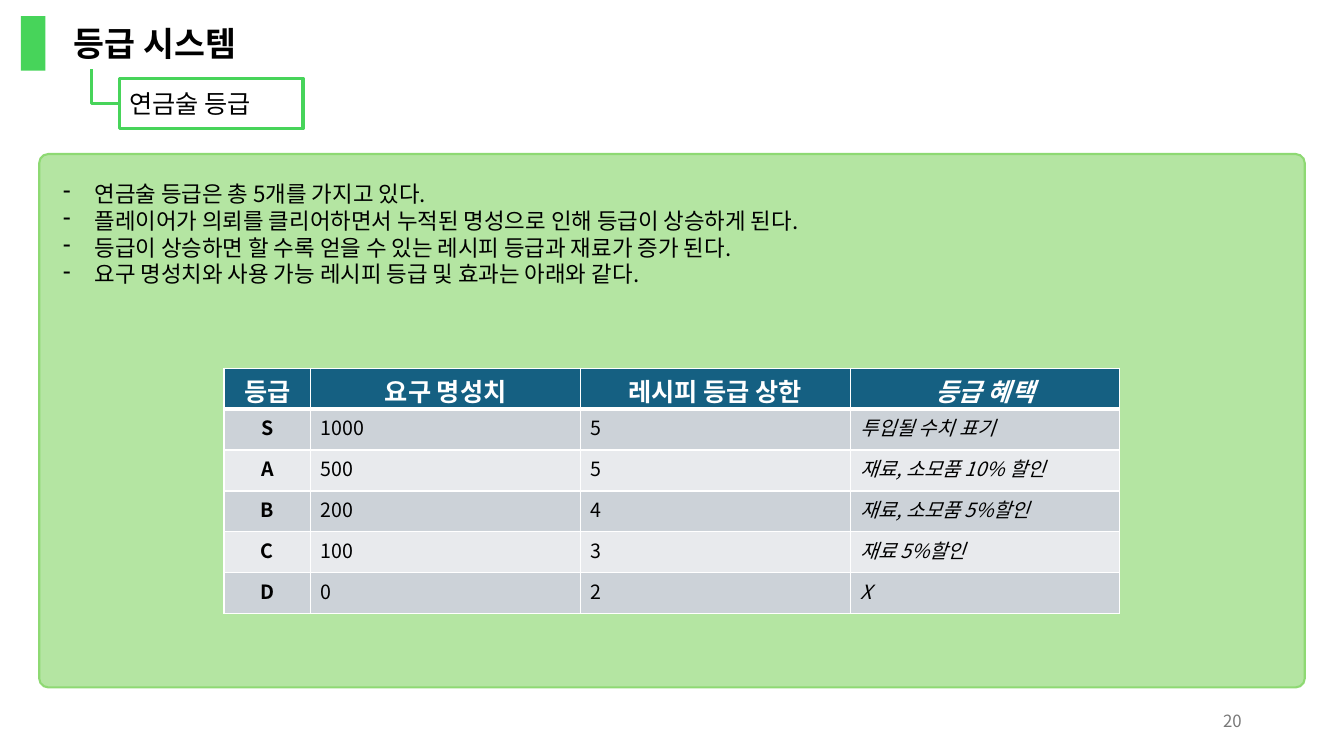
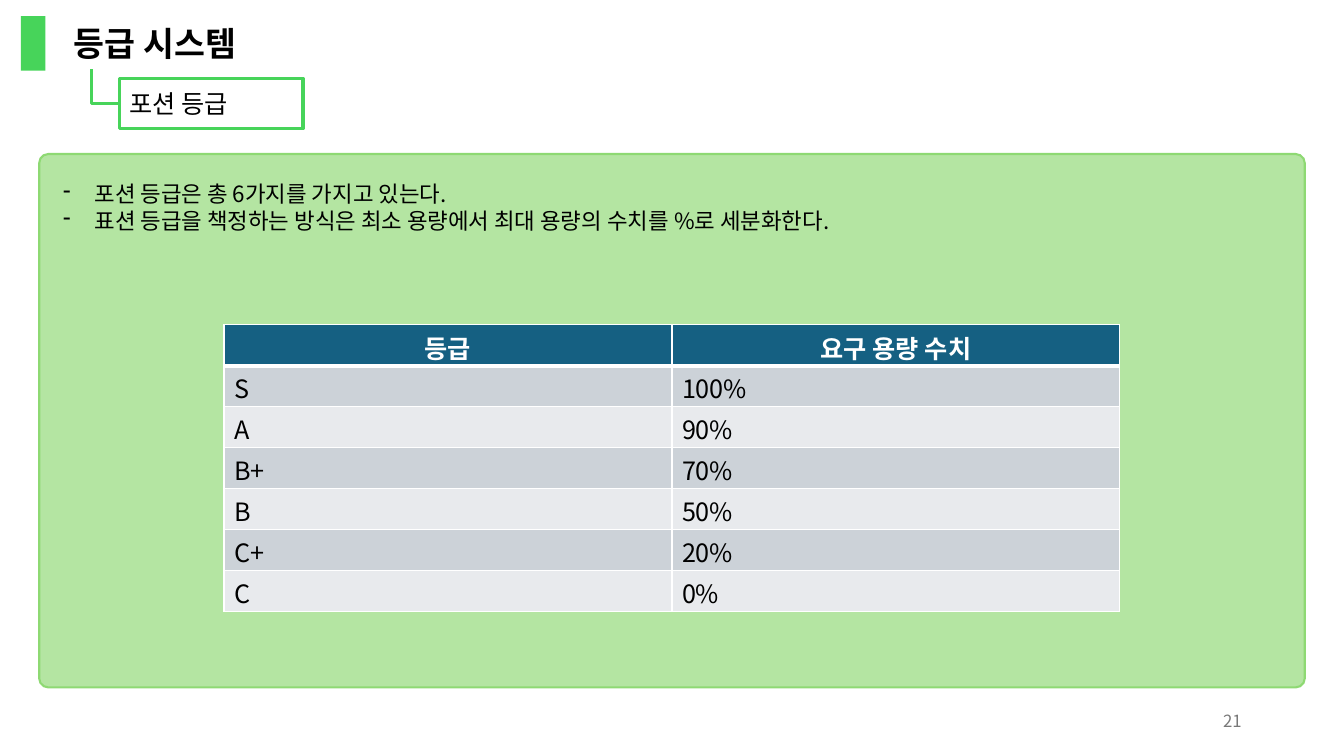
from lxml import etree
from pptx import Presentation
from pptx.dml.color import RGBColor
from pptx.enum import shapes as sh, text as tx
from pptx.oxml import ns
from pptx.util import Pt

FONT = "Noto Sans CJK KR"
BLACK = RGBColor(0x00, 0x00, 0x00)
WHITE = RGBColor(0xFF, 0xFF, 0xFF)
GRAY = RGBColor(0x79, 0x79, 0x79)
ACCENT = RGBColor(0x47, 0xD4, 0x5A)
PANEL_FILL = RGBColor(0xB4, 0xE5, 0xA2)
PANEL_LINE = RGBColor(0x8E, 0xD9, 0x73)
HEAD_FILL = RGBColor(0x15, 0x60, 0x82)
BAND_FILLS = (RGBColor(0xCC, 0xD2, 0xD8), RGBColor(0xE8, 0xEA, 0xED))

LINE_HEIGHT = 1.2
ROW_HEIGHT = 29.25
PANEL_BOX = (28, 110, 904, 381)
TABLE_LEFT, TABLE_WIDTH = 160, 640

SLIDES = [
    dict(
        subtitle="연금술 등급", page="20", table_top=263, body_size=14,
        columns=(62, 192.67, 192.67, 192.66), label_column=0, italic_column=3,
        notes=["연금술 등급은 총 5개를 가지고 있다.",
               "플레이어가 의뢰를 클리어하면서 누적된 명성으로 인해 등급이 상승하게 된다.",
               "등급이 상승하면 할 수록 얻을 수 있는 레시피 등급과 재료가 증가 된다.",
               "요구 명성치와 사용 가능 레시피 등급 및 효과는 아래와 같다."],
        rows=[("등급", "요구 명성치", "레시피 등급 상한", "등급 혜택"),
              ("S", "1000", "5", "투입될 수치 표기"),
              ("A", "500", "5", "재료, 소모품 10% 할인"),
              ("B", "200", "4", "재료, 소모품 5%할인"),
              ("C", "100", "3", "재료 5%할인"),
              ("D", "0", "2", "X")]),
    dict(
        subtitle="포션 등급", page="21", table_top=232, body_size=18,
        columns=(320, 320), label_column=None, italic_column=None,
        notes=["포션 등급은 총 6가지를 가지고 있는다.",
               "표션 등급을 책정하는 방식은 최소 용량에서 최대 용량의 수치를 %로 세분화한다."],
        rows=[("등급", "요구 용량 수치"), ("S", "100%"), ("A", "90%"),
              ("B+", "70%"), ("B", "50%"), ("C+", "20%"), ("C", "0%")]),
]


def write_text(frame, lines, size=18, color=BLACK, bold=False, italic=False,
               align=tx.PP_ALIGN.LEFT, anchor=tx.MSO_ANCHOR.TOP, bullet=None):
    """Fill a text frame with one paragraph for each line."""
    frame.word_wrap = True
    frame.vertical_anchor = anchor
    for index, line in enumerate(lines):
        paragraph = frame.add_paragraph() if index else frame.paragraphs[0]
        paragraph.alignment = align
        paragraph.line_spacing = Pt(size * LINE_HEIGHT)
        run = paragraph.add_run()
        run.text = line
        font = run.font
        font.size, font.bold, font.italic, font.name = Pt(size), bold, italic, FONT
        font.color.rgb = color
        etree.SubElement(run._r.get_or_add_rPr(), ns.qn("a:ea"), typeface=FONT)
        if bullet:
            props = paragraph._p.get_or_add_pPr()
            props.set("marL", str(Pt(22.5)))
            props.set("indent", str(Pt(-22.5)))
            etree.SubElement(props, ns.qn("a:buChar"), char=bullet)


def add_box(slide, kind, box, fill, line=None, line_width=0):
    shape = slide.shapes.add_shape(kind, *map(Pt, box))
    shape.shadow.inherit = False
    shape.fill.solid()
    shape.fill.fore_color.rgb = fill
    if line is None:
        shape.line.fill.background()
    else:
        shape.line.color.rgb = line
        shape.line.width = Pt(line_width)
    return shape


def add_heading(slide, left, top, title, subtitle):
    """Accent bar, title, and the subtitle box that hangs from it."""
    add_box(slide, sh.MSO_SHAPE.RECTANGLE, (left, top, 17.5, 39), ACCENT)

    heading = slide.shapes.title
    heading.left, heading.top = Pt(left + 30.5), Pt(top + 1.5)
    heading.width, heading.height = Pt(300), Pt(36)
    heading.text_frame.auto_size = tx.MSO_AUTO_SIZE.NONE
    write_text(heading.text_frame, [title], size=24, bold=True)

    box_left, box_top, box_height = left + 70.5, top + 44.5, 36
    topic = add_box(slide, sh.MSO_SHAPE.RECTANGLE,
                    (box_left, box_top, 131, box_height), WHITE, ACCENT, 2.25)
    write_text(topic.text_frame, [subtitle], anchor=tx.MSO_ANCHOR.MIDDLE)

    branch = slide.shapes.add_connector(
        sh.MSO_CONNECTOR.ELBOW, Pt(box_left), Pt(box_top + box_height / 2),
        Pt(left + 50.5), Pt(top + 38))
    branch.line.color.rgb = ACCENT
    branch.line.width = Pt(2.25)
    props = branch._element.spPr
    props.find(ns.qn("a:prstGeom")).set("prst", "bentConnector2")
    etree.SubElement(props, ns.qn("a:effectLst"))


def add_notes_panel(slide, box, notes):
    """Rounded panel with dashed notes at its top."""
    left, top, width, _ = box
    panel = add_box(slide, sh.MSO_SHAPE.ROUNDED_RECTANGLE, box,
                    PANEL_FILL, PANEL_LINE, 1.5)
    panel.adjustments[0] = 0.017
    height = len(notes) * 16 * LINE_HEIGHT + 7.2
    notes_box = slide.shapes.add_textbox(
        Pt(left + 10), Pt(top + 15), Pt(width - 20), Pt(height))
    write_text(notes_box.text_frame, notes, size=16, bullet="-")


def add_borders(cell, top, bottom):
    """White cell borders; the side ones are 1 pt wide."""
    props = cell._tc.get_or_add_tcPr()
    for side, width in (("L", 1), ("R", 1), ("T", top), ("B", bottom)):
        border = etree.SubElement(props, ns.qn(f"a:ln{side}"), w=str(Pt(width)))
        fill = etree.SubElement(border, ns.qn("a:solidFill"))
        etree.SubElement(fill, ns.qn("a:srgbClr"), val=str(WHITE))


def add_grade_table(slide, left, top, width, columns, rows, body_size,
                    label_column, italic_column):
    table = slide.shapes.add_table(
        len(rows), len(columns), Pt(left), Pt(top), Pt(width),
        Pt(ROW_HEIGHT * len(rows))).table
    for column, column_width in zip(table.columns, columns):
        column.width = Pt(column_width)
    for r, values in enumerate(rows):
        table.rows[r].height = Pt(ROW_HEIGHT)
        is_head = r == 0
        size = 18 if is_head else body_size
        for c, value in enumerate(values):
            cell = table.cell(r, c)
            add_borders(cell, top=3 if r == 1 else 1, bottom=3 if is_head else 1)
            cell.fill.solid()
            cell.fill.fore_color.rgb = HEAD_FILL if is_head else BAND_FILLS[(r - 1) % 2]
            if size == 18:
                # Large text sits low in its row
                cell.margin_top, cell.margin_bottom = Pt(7), Pt(0)
            strong = is_head or c == label_column
            write_text(cell.text_frame, [value], size=size,
                       color=WHITE if is_head else BLACK, bold=strong,
                       italic=c == italic_column,
                       align=tx.PP_ALIGN.CENTER if strong else tx.PP_ALIGN.LEFT)
            cell.vertical_anchor = tx.MSO_ANCHOR.MIDDLE


def add_page_number(slide, box, number):
    footer = slide.shapes.add_textbox(*map(Pt, box))
    write_text(footer.text_frame, [number], size=12, color=GRAY,
               align=tx.PP_ALIGN.RIGHT, anchor=tx.MSO_ANCHOR.MIDDLE)


def add_grade_slide(prs, subtitle, page, notes, table_top, **table_format):
    slide = prs.slides.add_slide(prs.slide_layouts[5])
    add_heading(slide, 15, 11.5, "등급 시스템", subtitle)
    add_page_number(slide, (678, 500.5, 216, 29), page)
    add_notes_panel(slide, PANEL_BOX, notes)
    add_grade_table(slide, TABLE_LEFT, table_top, TABLE_WIDTH, **table_format)


def main():
    prs = Presentation()
    prs.slide_width, prs.slide_height = Pt(960), Pt(540)
    for content in SLIDES:
        add_grade_slide(prs, **content)
    prs.save("out.pptx")


if __name__ == "__main__":
    main()
